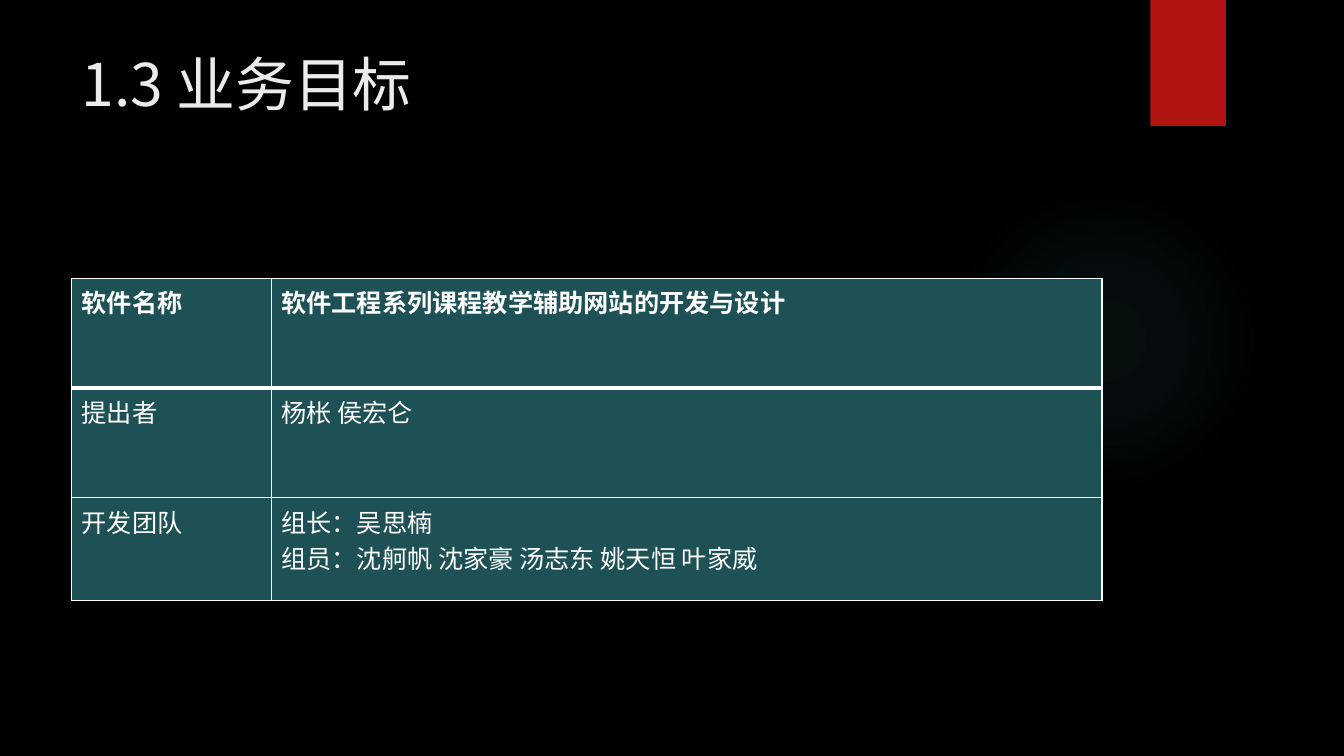
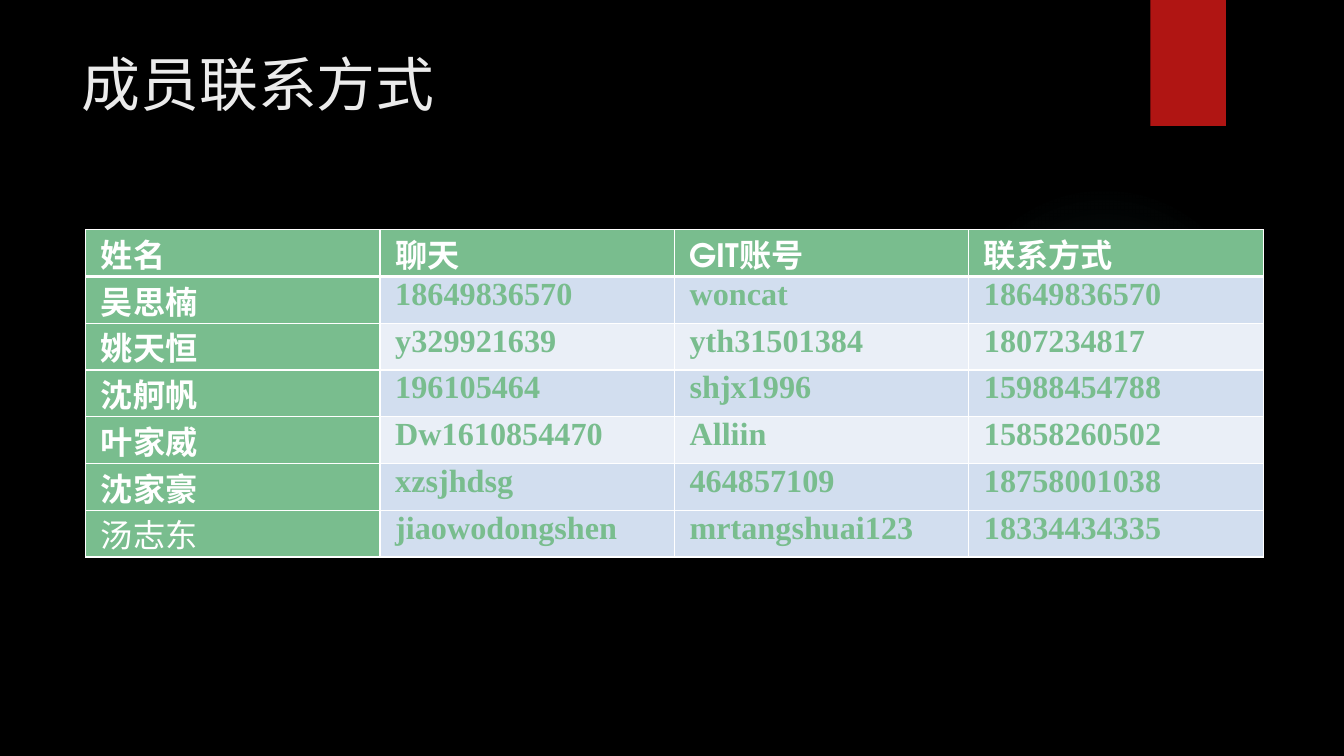
from dataclasses import dataclass

from lxml.etree import SubElement
from pptx import Presentation
from pptx.dml.color import RGBColor
from pptx.enum.shapes import MSO_SHAPE as Form
from pptx.enum.text import MSO_ANCHOR as Anchor, PP_ALIGN as Align
from pptx.oxml import parse_xml
from pptx.oxml.ns import nsdecls, qn
from pptx.util import Inches, Pt

# Shared colours and fonts
BLACK, WHITE, PALE = "000000", "FFFFFF", "EBEBEB"
RED, GLOW, TEAL, GREEN = "B01513", "50B9C1", "1E5155", "79BD8E"
BLUE, LIGHT = "D2DEEF", "EAEFF7"
HAN, SANS, SERIF, PLAIN = ("Noto Sans CJK SC", "TeX Gyre Adventor",
                           "Times New Roman", "Calibri")


@dataclass
class Cell:
    text: str
    fill: str
    font: str = SANS
    color: str = WHITE
    bold: bool = False


@dataclass
class Grid:
    left: float
    top: float
    cols: list[float]
    rows: list[float]
    cells: list[list[Cell]]
    size: float
    align: Align = Align.LEFT
    pad: tuple[float, float] = (0.1, 0.05)


def paint(fill, color: str) -> None:
    fill.solid()
    fill.fore_color.rgb = RGBColor.from_string(color)


def write(frame, text: str, *, size: float, font: str, color: str,
          bold: bool = False, align: Align = Align.LEFT,
          space: float = 1.0) -> None:
    """Fill a text frame, one paragraph for each line."""
    frame.text = text
    for para in frame.paragraphs:
        para.alignment, para.line_spacing = align, space
        for run in para.runs:
            face = run.font
            face.size, face.name, face.bold = Pt(size), font, bold
            face.color.rgb = RGBColor.from_string(color)
            SubElement(run._r.get_or_add_rPr(), qn("a:ea"), typeface=HAN)


def edge(cell, side: str, width: float) -> None:
    cell._tc.get_or_add_tcPr().append(parse_xml(
        f'<a:{side} {nsdecls("a")} w="{Pt(width)}"><a:solidFill>'
        f'<a:srgbClr val="{WHITE}"/></a:solidFill></a:{side}>'))


def table(slide, grid: Grid) -> None:
    area = [Inches(n) for n in
            (grid.left, grid.top, sum(grid.cols), sum(grid.rows))]
    tab = slide.shapes.add_table(
        len(grid.rows), len(grid.cols), *area).table
    tab.first_row = tab.horz_banding = False
    for col, width in zip(tab.columns, grid.cols):
        col.width = Inches(width)
    for r, line in enumerate(grid.cells):
        tab.rows[r].height = Inches(grid.rows[r])
        for c, item in enumerate(line):
            cell = tab.cell(r, c)
            cell.margin_left = cell.margin_right = Inches(grid.pad[0])
            cell.margin_top = cell.margin_bottom = Inches(grid.pad[1])
            # A thick rule parts the head row from the rest
            for side, width in (("lnL", 1), ("lnR", 1),
                                ("lnT", 3 if r == 1 else 1),
                                ("lnB", 3 if r == 0 else 1)):
                edge(cell, side, width)
            paint(cell.fill, item.fill)
            write(cell.text_frame, item.text, size=grid.size, font=item.font,
                  color=item.color, bold=item.bold, align=grid.align)


def form(slide, kind: Form, *box: float):
    shape = slide.shapes.add_shape(kind, *[Inches(n) for n in box])
    shape.shadow.inherit = False
    shape.line.fill.background()
    return shape


def dress(deck, layout, slide) -> None:
    """Give the layout its backdrop, drawn on a slide and moved over."""
    paint(deck.slide_master.background.fill, BLACK)
    glow = form(slide, Form.OVAL, 9.41, 1.83, 3.08, 3.08)
    glow.fill.background()
    stops = "".join(
        f'<a:gs pos="{pos}000"><a:srgbClr val="{GLOW}">'
        f'<a:alpha val="{alpha}000"/></a:srgbClr></a:gs>'
        for pos, alpha in ((0, 7), (36, 6), (69, 0), (100, 0)))
    props = glow.element.spPr
    props.replace(props.find(qn("a:noFill")), parse_xml(
        f'<a:gradFill {nsdecls("a")}><a:gsLst>{stops}</a:gsLst>'
        '<a:path path="circle"><a:fillToRect l="50000" t="50000" '
        'r="50000" b="50000"/></a:path></a:gradFill>'))
    flag = form(slide, Form.RECTANGLE, 11.41, 0, 0.75, 1.25)
    paint(flag.fill, RED)
    for shape in (glow, flag):
        layout.shapes.element.append(shape.element)


def page(deck, layout, title: str, grid: Grid):
    slide = deck.slides.add_slide(layout)
    head = slide.shapes.title
    head.left, head.top = Inches(0.71), Inches(0.5)
    head.width, head.height = Inches(10.29), Inches(1.53)
    head.text_frame.vertical_anchor = Anchor.TOP
    write(head.text_frame, title, size=42, font=HAN, color=PALE, space=0.9)
    table(slide, grid)
    return slide


def goals() -> Grid:
    lines = [
        ("软件名称", "软件工程系列课程教学辅助网站的开发与设计"),
        ("提出者", "杨枨 侯宏仑"),
        ("开发团队", "组长：吴思楠\n组员：沈舸帆 沈家豪 汤志东 姚天恒 叶家威"),
    ]
    cells = [[Cell(text, TEAL, bold=r == 0) for text in line]
             for r, line in enumerate(lines)]
    return Grid(0.71, 2.76, [1.98, 8.24], [1.09, 1.09, 1.02], cells, 18)


def people() -> Grid:
    heads = [("姓名", PLAIN), ("聊天", SERIF), ("GIT账号", SANS),
             ("联系方式", PLAIN)]
    lines = [
        ("吴思楠", "18649836570", "woncat", "18649836570"),
        ("姚天恒", "y329921639", "yth31501384", "1807234817"),
        ("沈舸帆", "196105464", "shjx1996", "15988454788"),
        ("叶家威", "Dw1610854470", "Alliin", "15858260502"),
        ("沈家豪", "xzsjhdsg", "464857109", "18758001038"),
        ("汤志东", "jiaowodongshen", "mrtangshuai123", "18334434335"),
    ]
    bands = [BLUE, LIGHT, BLUE, LIGHT, BLUE, BLUE]
    cells = [[Cell(text, GREEN, font, bold=True) for text, font in heads]]
    for (name, *facts), band in zip(lines, bands):
        first = Cell(name, GREEN, bold=name != "汤志东")
        cells.append([first] + [Cell(fact, band, SERIF, GREEN, True)
                                for fact in facts])
    return Grid(0.85, 2.28, [2.92] * 4, [0.4] * 7, cells, 23,
                Align.JUSTIFY, (0.15, 0))


def main() -> None:
    deck = Presentation()
    deck.slide_width, deck.slide_height = Inches(13.33), Inches(7.5)
    layout = deck.slide_layouts.get_by_name("Title Only")
    first = page(deck, layout, "1.3 业务目标", goals())
    dress(deck, layout, first)
    page(deck, layout, "成员联系方式", people())
    deck.save("out.pptx")


if __name__ == "__main__":
    main()
